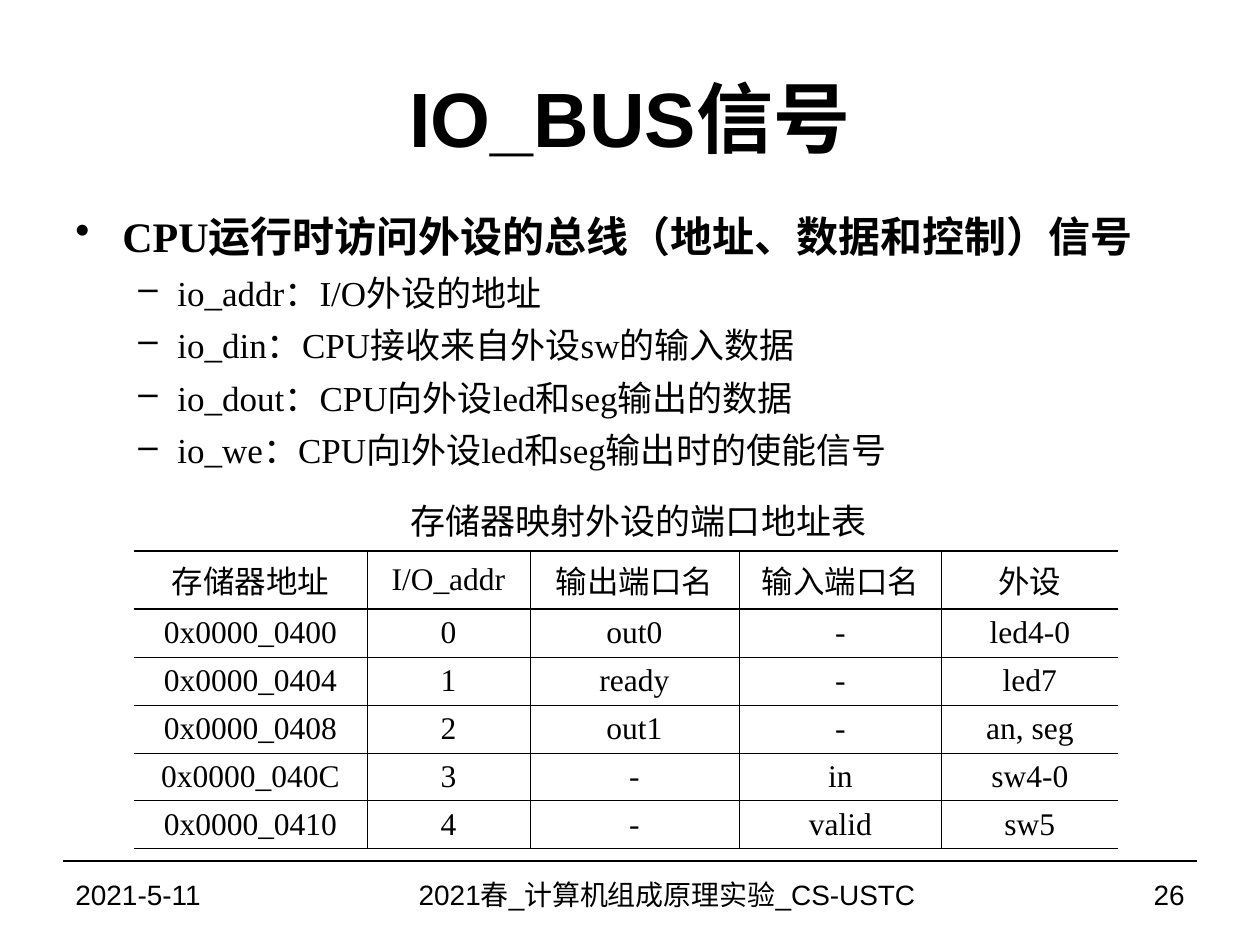
from lxml import etree
from pptx import Presentation
from pptx.dml.color import RGBColor
from pptx.enum.shapes import MSO_CONNECTOR
from pptx.enum.text import MSO_ANCHOR, PP_ALIGN
from pptx.oxml.ns import qn
from pptx.util import Emu, Pt

BLACK = RGBColor(0, 0, 0)
LEFT, CENTER, RIGHT = PP_ALIGN.LEFT, PP_ALIGN.CENTER, PP_ALIGN.RIGHT
TOP, MIDDLE = MSO_ANCHOR.TOP, MSO_ANCHOR.MIDDLE
STRAIGHT = MSO_CONNECTOR.STRAIGHT
SANS, SERIF = "Arial", "Times New Roman"
THIN, THICK = 0.45, 0.75
PX_PER_INCH = 126


def px(n):
    return Emu(round(n * 914400 / PX_PER_INCH))


class SlideBuilder:
    def __init__(self, slide, color=BLACK):
        self.s = slide
        self.color = color

    def style(self, p, size, font, align=LEFT, bold=False):
        p.alignment = align
        p.font.size = Pt(size)
        p.font.name = font
        p.font.bold = bold
        p.font.color.rgb = self.color

    def frame(self, x, y, w, h, anchor, wrap=True):
        tf = self.s.shapes.add_textbox(px(x), px(y), px(w), px(h)).text_frame
        tf.word_wrap = wrap
        tf.vertical_anchor = anchor
        return tf

    def text(self, x, y, w, h, text, size, font, align=LEFT, bold=False, anchor=MIDDLE, wrap=True):
        p = self.frame(x, y, w, h, anchor, wrap).paragraphs[0]
        p.text = text
        self.style(p, size, font, align, bold)

    def bullets(self, x, y, w, h, items, levels):
        tf = self.frame(x, y, w, h, TOP)
        for i, (level, text) in enumerate(items):
            p = tf.add_paragraph() if i else tf.paragraphs[0]
            size, bold, mark, margin, hang = levels[level]
            p.text = text
            p.level = level
            p.space_before = Pt(6)
            self.style(p, size, SERIF, bold=bold)
            pPr = p._p.get_or_add_pPr()
            pPr.set("marL", str(px(margin)))
            pPr.set("indent", str(-px(hang)))
            bullet = etree.Element(qn("a:buChar"), char=mark)
            pPr.find(qn("a:defRPr")).addprevious(bullet)

    def line(self, x1, y1, x2, y2, width):
        c = self.s.shapes.add_connector(STRAIGHT, px(x1), px(y1), px(x2), px(y2))
        c.line.color.rgb = self.color
        c.line.width = Pt(width)
        etree.SubElement(c._element.spPr, qn("a:effectLst"))

    def borders(self, cell, edges):
        tcPr = cell._tc.get_or_add_tcPr()
        for i, (side, width) in enumerate(edges.items()):
            ln = etree.Element(qn(f"a:ln{side}"), w=str(Pt(width)))
            if width:
                fill = etree.SubElement(ln, qn("a:solidFill"))
                etree.SubElement(fill, qn("a:srgbClr"), val=str(self.color))
            else:
                etree.SubElement(ln, qn("a:noFill"))
            tcPr.insert(i, ln)

    def table(self, x, y, widths, heights, rows):
        t = self.s.shapes.add_table(len(rows), len(widths), px(x), px(y),
                                    px(sum(widths)), px(sum(heights))).table
        t.first_row = t.horz_banding = False
        for column, w in zip(t.columns, widths):
            column.width = px(w)
        for row, h in zip(t.rows, heights):
            row.height = px(h)
        across = [THICK, THICK] + [THIN] * (len(rows) - 2) + [THICK]
        down = [0] + [THIN] * (len(widths) - 2) + [THICK, 0]
        for i, row in enumerate(rows):
            for j, value in enumerate(row):
                cell = t.cell(i, j)
                cell.text = value
                cell.vertical_anchor = MIDDLE
                cell.margin_top = cell.margin_bottom = px(5)
                cell.fill.background()
                self.style(cell.text_frame.paragraphs[0], 18, SERIF, CENTER)
                self.borders(cell, {"L": down[j], "R": down[j + 1],
                                    "T": across[i], "B": across[i + 1]})


LEVELS = [(24, True, "•", 47, 47), (20, False, "–", 102, 39)]
SIGNALS = [
    (0, "CPU运行时访问外设的总线（地址、数据和控制）信号"),
    (1, "io_addr：I/O外设的地址"),
    (1, "io_din：CPU接收来自外设sw的输入数据"),
    (1, "io_dout：CPU向外设led和seg输出的数据"),
    (1, "io_we：CPU向l外设led和seg输出时的使能信号"),
]
PORTS = [
    ("存储器地址", "I/O_addr", "输出端口名", "输入端口名", "外设"),
    ("0x0000_0400", "0", "out0", "-", "led4-0"),
    ("0x0000_0404", "1", "ready", "-", "led7"),
    ("0x0000_0408", "2", "out1", "-", "an, seg"),
    ("0x0000_040C", "3", "-", "in", "sw4-0"),
    ("0x0000_0410", "4", "-", "valid", "sw5"),
]
FOOTER = [
    (63, 294, "2021-5-11", LEFT),
    (357, 620, "2021春_计算机组成原理实验_CS-USTC", CENTER),
    (977, 220, "26", RIGHT),
]


def main():
    prs = Presentation()
    prs.slide_width, prs.slide_height = px(1260), px(945)
    b = SlideBuilder(prs.slides.add_slide(prs.slide_layouts[6]))
    b.line(63, 861, 1197, 861, THICK)
    b.text(63, 38, 1134, 158, "IO_BUS信号", 44, SANS, CENTER, bold=True)
    b.bullets(63, 204, 1134, 500, SIGNALS, LEVELS)
    for x, w, text, align in FOOTER:
        b.text(x, 861, w, 66, text, 16, SANS, align)
    b.table(134, 551, [233, 163, 209, 203, 176], [58] + [48] * 5, PORTS)
    b.text(398, 493, 481, 55, "存储器映射外设的端口地址表", 20, SERIF, CENTER, anchor=TOP, wrap=False)
    prs.save("out.pptx")


if __name__ == "__main__":
    main()
